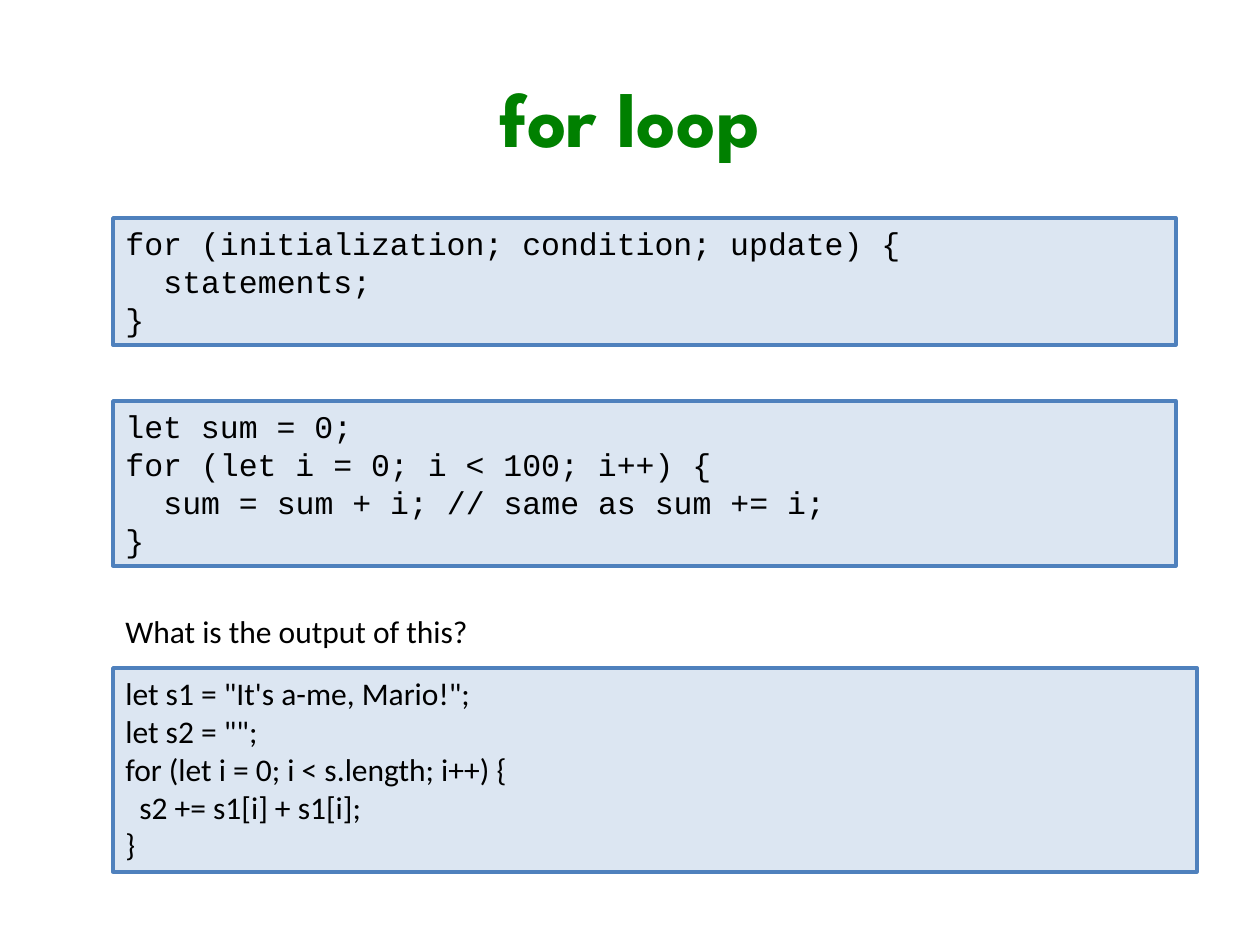
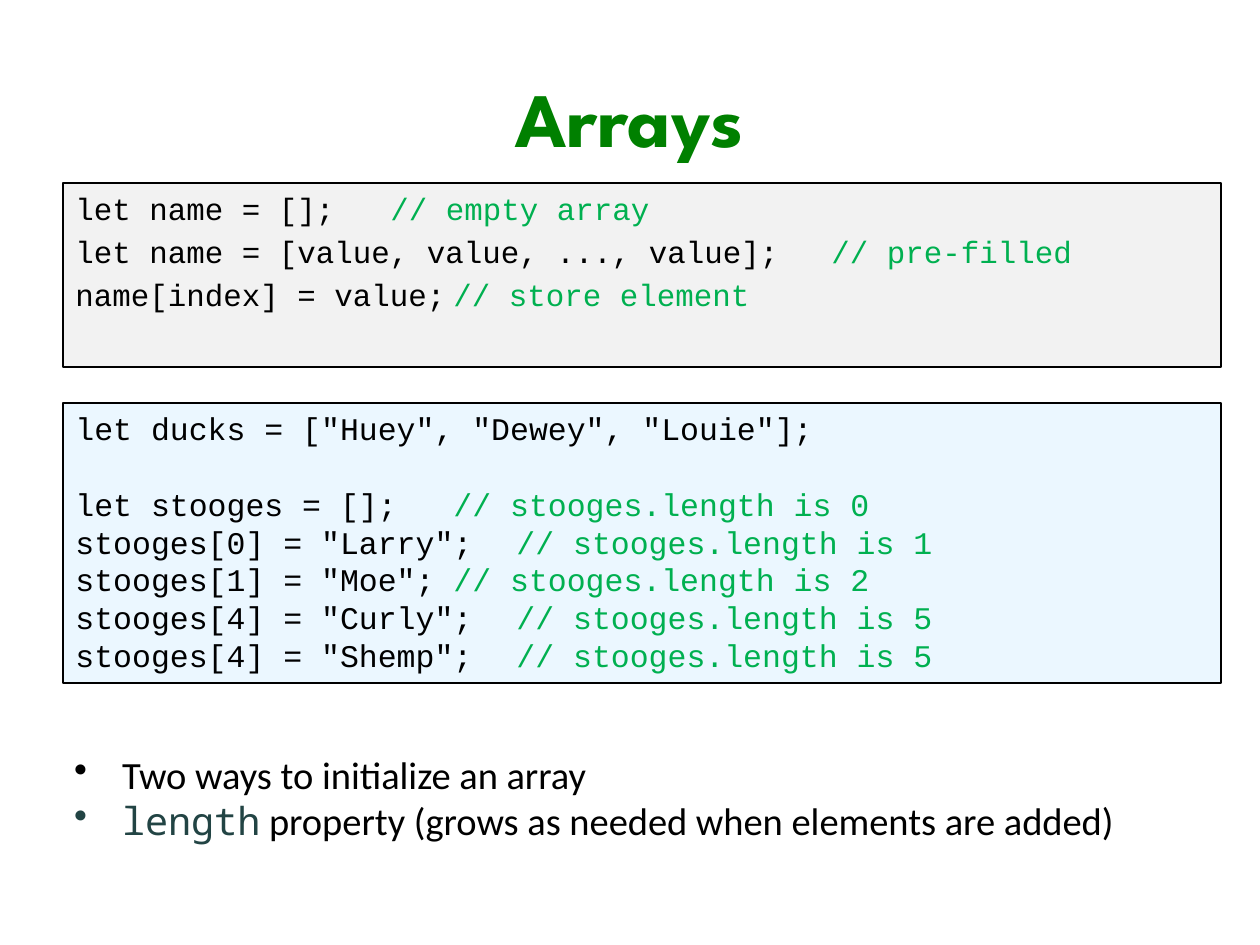
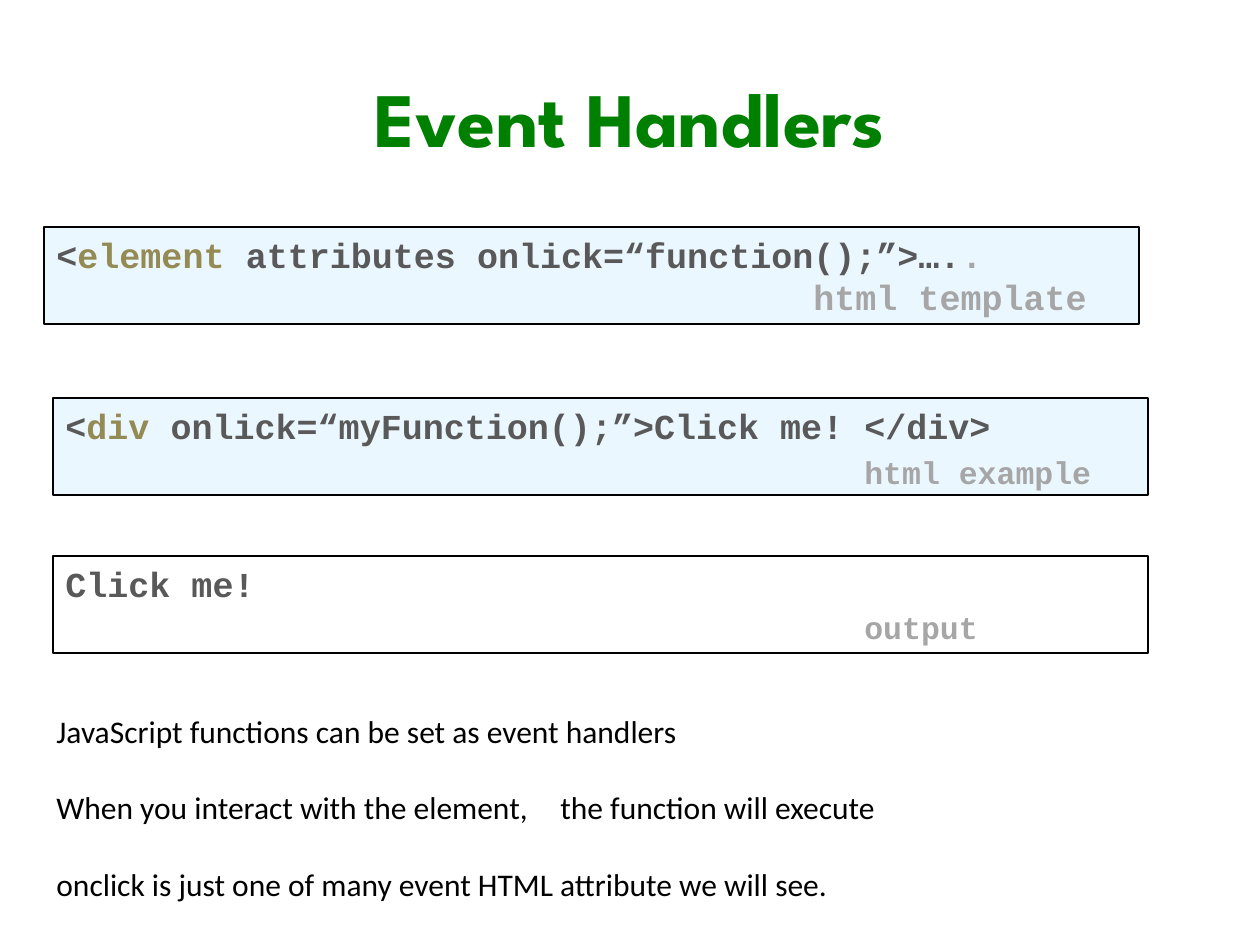
from lxml.etree import SubElement
from pptx import Presentation
from pptx.dml.color import RGBColor
from pptx.enum.shapes import MSO_SHAPE
from pptx.enum.text import MSO_ANCHOR, PP_ALIGN
from pptx.oxml.ns import qn
from pptx.util import Pt

PX = 7257  # EMU in one px, at 126 px to the inch
CODE, BODY = "Courier New", "Calibri"
BLACK, GREEN, GREY, PALE, TAN = "000000", "00B050", "595959", "A6A6A6", "948A54"
ICE = "EBF7FF"
rgb = RGBColor.from_string


def box(s, x, y, w, h, fill=None, line=None, weight=1.5, anchor=MSO_ANCHOR.TOP, wrap=True):
    """Add a text box, or a rectangle when a line colour is given; return its text frame."""
    at = [v * PX for v in (x, y, w, h)]
    if line:
        sp = s.shapes.add_shape(MSO_SHAPE.RECTANGLE, *at)
        sp.shadow.inherit = False
        sp.line.color.rgb = rgb(line)
        sp.line.width = Pt(weight)
    else:
        sp = s.shapes.add_textbox(*at)
    if fill:
        sp.fill.solid()
        sp.fill.fore_color.rgb = rgb(fill)
    else:
        sp.fill.background()
    tf = sp.text_frame
    tf.word_wrap = wrap
    tf.vertical_anchor = anchor
    return tf


def write(tf, *runs, size=18, font=CODE, color=BLACK, bold=False, align=PP_ALIGN.LEFT,
          left=0, hang=0, before=0, tab=None, bullet=None):
    """Add one paragraph; a run is a text or a (text, colour[, font]) tuple."""
    p = tf.add_paragraph() if tf.paragraphs[0].runs else tf.paragraphs[0]
    p.alignment = align
    p.space_before = Pt(before)
    pPr = p._p.get_or_add_pPr()
    pPr.set("marL", str(left * PX))
    pPr.set("indent", str(-hang * PX))
    if bullet:
        SubElement(pPr, qn("a:buChar"), char=bullet)
    if tab:
        tabs = SubElement(pPr, qn("a:tabLst"))
        SubElement(tabs, qn("a:tab"), pos=str(tab * PX), algn="l")
    for run in runs:
        given = (run,) if isinstance(run, str) else run
        text, ink, face = given + ("", color, font)[len(given):]
        r = p.add_run()
        r.text = text
        r.font.size, r.font.name, r.font.bold = Pt(size), face, bold
        r.font.color.rgb = rgb(ink)


prs = Presentation()
prs.slide_width, prs.slide_height = 1260 * PX, 945 * PX

# Slides with their shared title
slides = []
for title in ("for loop", "Arrays", "Event Handlers"):
    s = prs.slides.add_slide(prs.slide_layouts[6])
    tf = box(s, 63, 38, 1134, 158, anchor=MSO_ANCHOR.MIDDLE)
    write(tf, title, size=44, font="League Spartan", color="008000", bold=True,
          align=PP_ALIGN.CENTER)
    slides.append(s)
loops, arrays, events = slides

# for loop: code boxes, each line with its indent
listings = [
    (218, 1063, 127, CODE, [
        ("for (initialization; condition; update) {", 0),
        ("statements;", 38),
        ("}", 0)]),
    (401, 1063, 165, CODE, [
        ("let sum = 0;", 0),
        ("for (let i = 0; i < 100; i++) {", 0),
        ("sum = sum + i; // same as sum += i;", 38),
        ("}", 0)]),
    (668, 1084, 204, BODY, [
        ('let s1 = "It\'s a-me, Mario!";', 0),
        ('let s2 = "";', 0),
        ("for (let i = 0; i < s.length; i++) {", 0),
        ("s2 += s1[i] + s1[i];", 14),
        ("}", 0)]),
]
for y, w, h, font, lines in listings:
    tf = box(loops, 113, y, w, h, fill="DCE6F2", line="4F81BD", weight=2)
    for text, left in lines:
        write(tf, text, font=font, left=left)
write(box(loops, 113, 606, 697, 50), "What is the output of this?", font=BODY)

# Arrays: syntax
tf = box(arrays, 63, 183, 1158, 184, fill="F2F2F2", line=BLACK)
for code, note in (("let name = [];", "// empty array"),
                   ("let name = [value, value, ..., value];", "// pre-filled"),
                   ("name[index] = value;", "// store element")):
    write(tf, code + "\t", (note, GREEN), size=17.6, tab=758, before=3.5)

# Arrays: example, with the length after each step
tf = box(arrays, 63, 403, 1158, 280, fill=ICE, line=BLACK)
write(tf, 'let ducks = ["Huey", "Dewey", "Louie"];')
steps = [("let stooges = [];", 0), ('stooges[0] = "Larry";', 1), ('stooges[1] = "Moe";', 2),
         ('stooges[4] = "Curly";', 5), ('stooges[4] = "Shemp";', 5)]
for i, (code, length) in enumerate(steps):
    write(tf, code + "\t", (f"// stooges.length is {length}", GREEN), tab=472,
          before=0 if i else 21.6)

# Arrays: bullets
tf = box(arrays, 63, 704, 1115, 203, anchor=MSO_ANCHOR.MIDDLE)
tf.margin_left, tf.margin_top, tf.margin_right, tf.margin_bottom = 11 * PX, 0, 0, 16 * PX
for runs in (["Two ways to initialize an array"],
             [("length", "224444", "Noto Sans Mono"),
              " property (grows as needed when elements are added)"]):
    write(tf, *runs, size=22, font=BODY, left=48, hang=48, bullet="•")

# Event Handlers: template, example and output
bold_code = dict(size=20, color=GREY, bold=True)
tf = box(events, 44, 227, 1095, 97, fill=ICE, line=BLACK)
write(tf, "<", ("element", TAN), " attributes onlick=“function();”>….", (".", PALE), **bold_code)
write(tf, ("html template", PALE), left=757, **bold_code)
tf = box(events, 53, 398, 1095, 97, fill=ICE, line=BLACK)
write(tf, "<", ("div ", TAN), "onlick=“myFunction();”>Click me! </div>", **bold_code)
tf = box(events, 53, 556, 1095, 97, line=BLACK)
write(tf, "Click me!", **bold_code)
for label, y, w in (("html example", 447, 255), ("output", 602, 140)):
    write(box(events, 852, y, w, 50, wrap=False), label, color=PALE, bold=True)

# Event Handlers: remarks
tf = box(events, 44, 706, 1133, 280)
for i, text in enumerate(("JavaScript functions can be set as event handlers",
                          "When you interact with the element,\tthe function will execute",
                          "onclick is just one of many event HTML attribute we will see.")):
    write(tf, text, font=BODY, tab=493, before=22 if i else 0)

prs.save("out.pptx")
